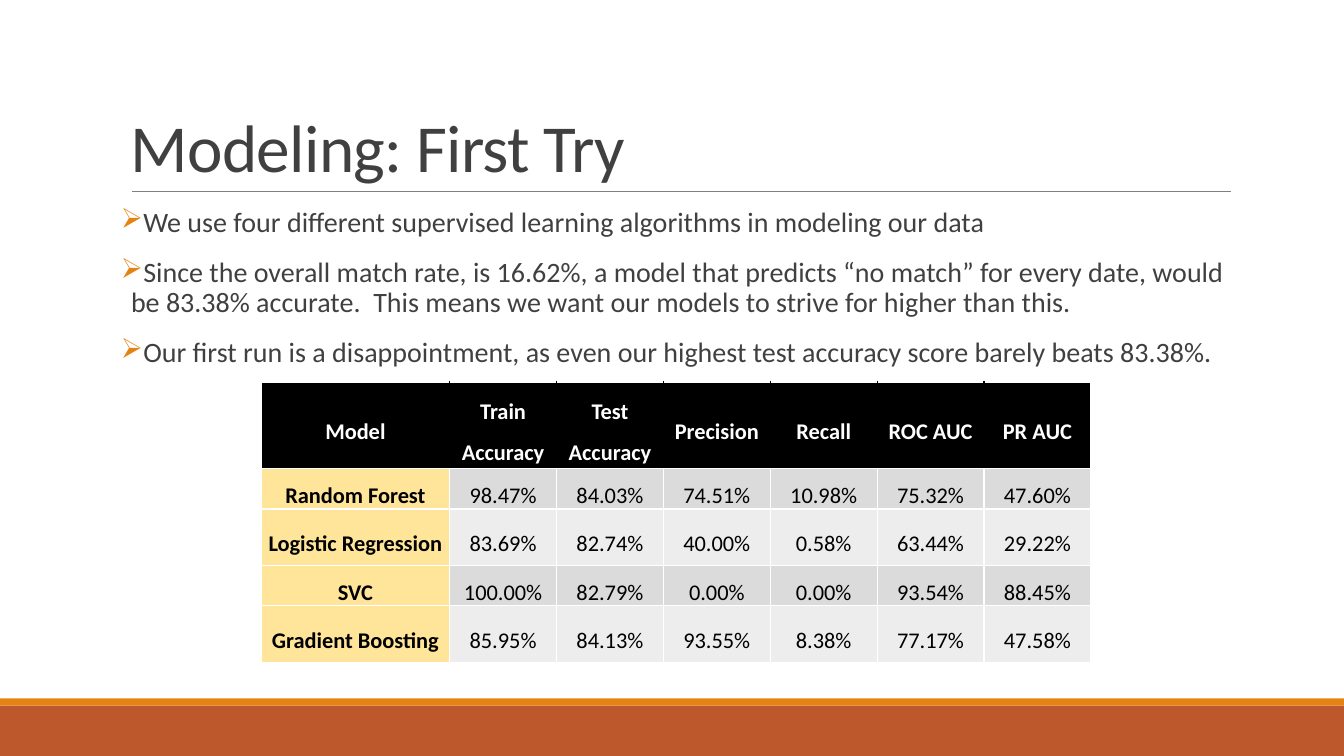
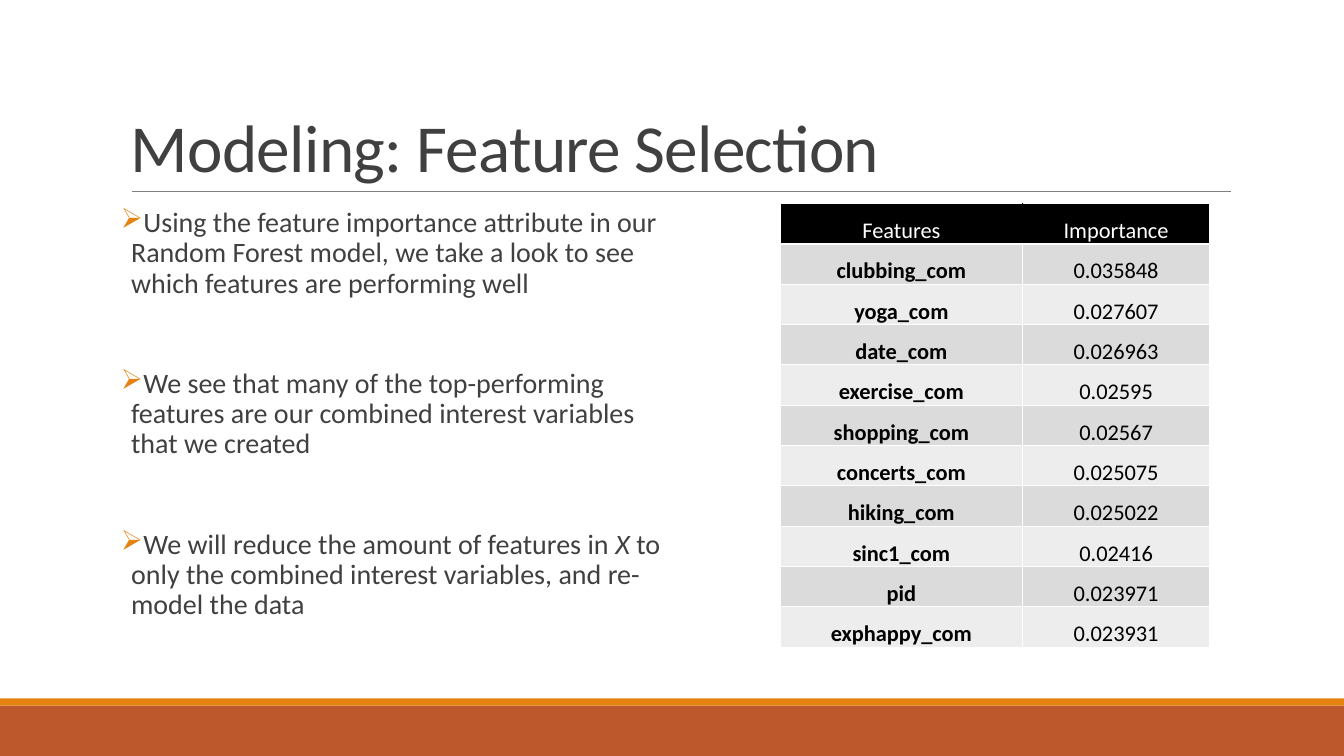
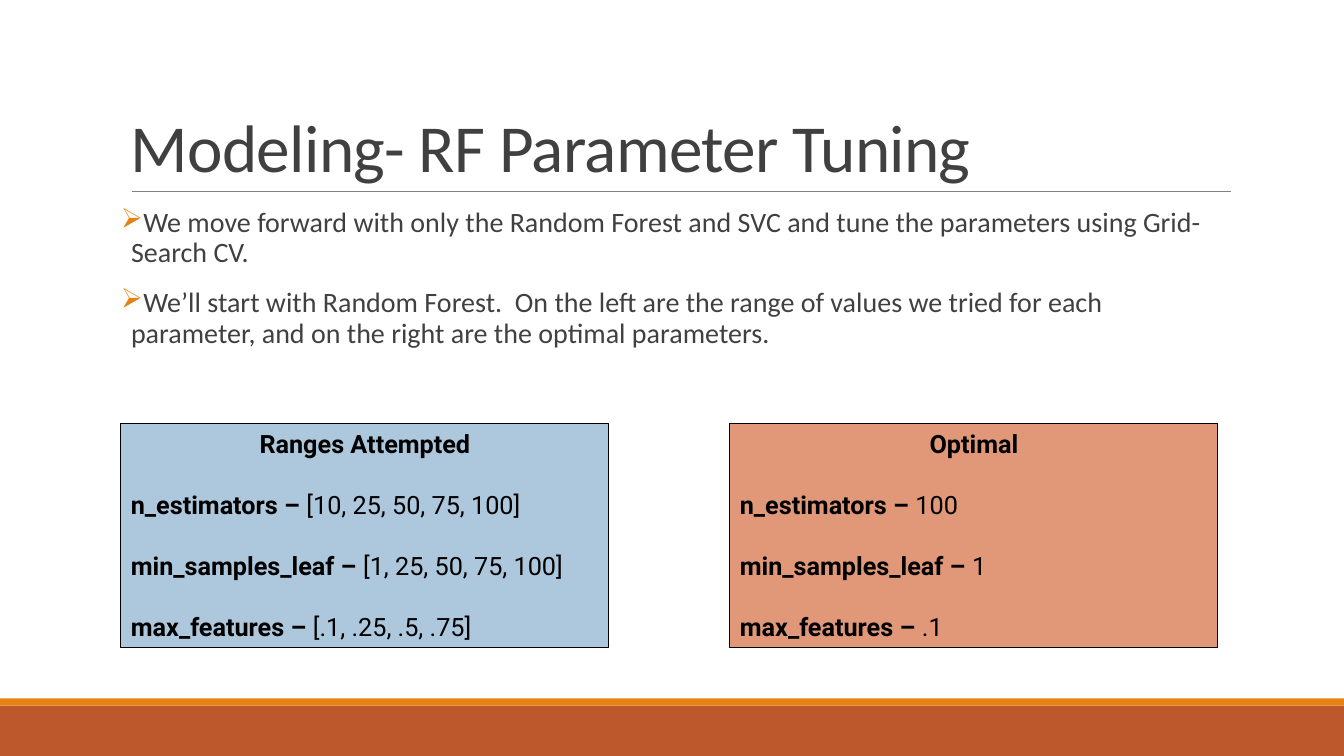
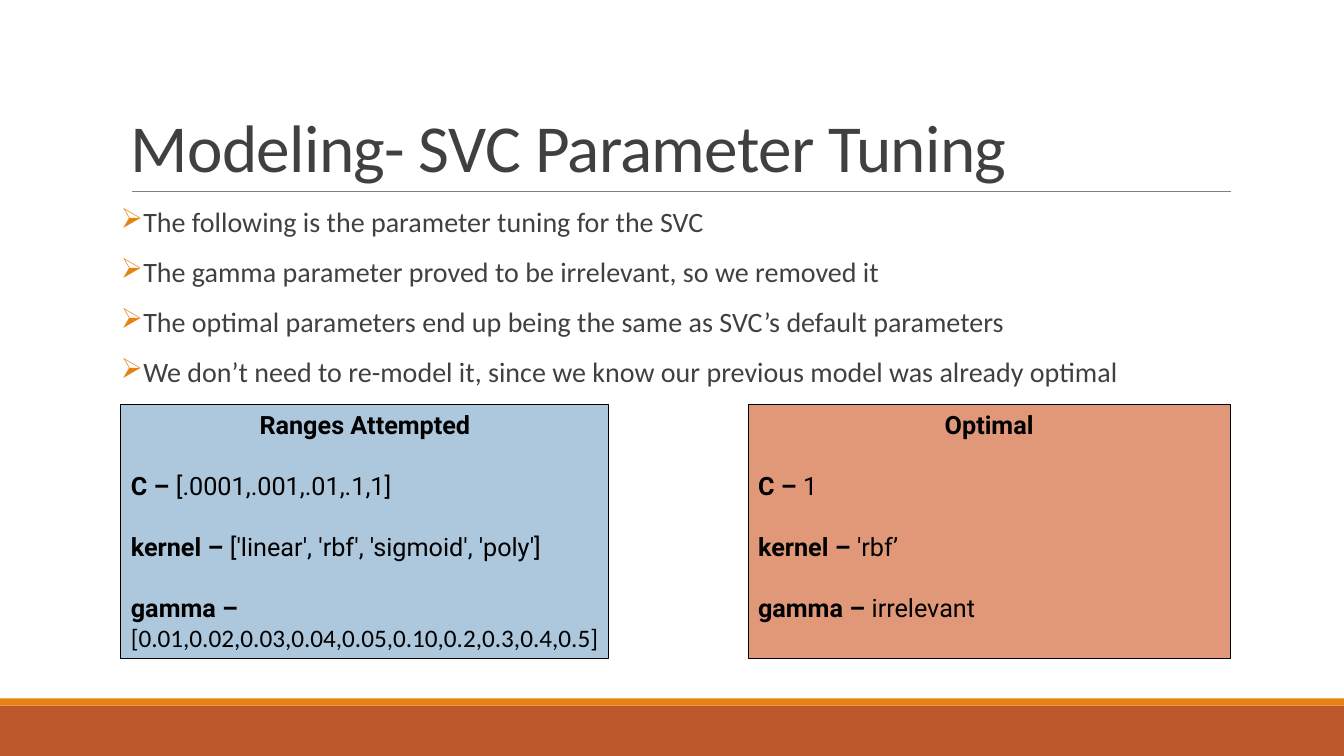
"""Build four slides on modeling, feature selection and parameter tuning."""
from lxml import etree
from pptx import Presentation
from pptx.dml.color import RGBColor
from pptx.enum import shapes, text
from pptx.oxml import ns
from pptx.util import Emu, Pt

PX = 9144
WIDTH, HEIGHT = 1333, 750
LEFT, BODY_TOP, BODY_WIDTH = 120, 202, 1100

WHITE = RGBColor(0xFF, 0xFF, 0xFF)
BLACK = RGBColor(0x00, 0x00, 0x00)
INK = RGBColor(0x40, 0x40, 0x40)
RULE = RGBColor(0x80, 0x80, 0x80)
ORANGE = RGBColor(0xE4, 0x83, 0x12)
RUST = RGBColor(0xBD, 0x58, 0x2C)
YELLOW = RGBColor(0xFF, 0xE5, 0x99)
BAND_DARK = RGBColor(0xDB, 0xDB, 0xDB)
BAND_LIGHT = RGBColor(0xED, 0xED, 0xED)
BLUE = RGBColor(0xAD, 0xC8, 0xDD)
SALMON = RGBColor(0xE0, 0x98, 0x78)

SANS, ROBOTO = "Calibri", "Roboto"

SCORES = [
    ("Model", "Train Accuracy", "Test Accuracy", "Precision", "Recall", "ROC AUC", "PR AUC"),
    ("Random Forest", "98.47%", "84.03%", "74.51%", "10.98%", "75.32%", "47.60%"),
    ("Logistic Regression", "83.69%", "82.74%", "40.00%", "0.58%", "63.44%", "29.22%"),
    ("SVC", "100.00%", "82.79%", "0.00%", "0.00%", "93.54%", "88.45%"),
    ("Gradient Boosting", "85.95%", "84.13%", "93.55%", "8.38%", "77.17%", "47.58%"),
]
FEATURES = [
    ("Features", "Importance"),
    ("clubbing_com", "0.035848"),
    ("yoga_com", "0.027607"),
    ("date_com", "0.026963"),
    ("exercise_com", "0.02595"),
    ("shopping_com", "0.02567"),
    ("concerts_com", "0.025075"),
    ("hiking_com", "0.025022"),
    ("sinc1_com", "0.02416"),
    ("pid", "0.023971"),
    ("exphappy_com", "0.023931"),
]


def px(*lengths):
    """Turn px lengths into EMU."""
    return [Emu(n * PX) for n in lengths]


def sub(parent, tag, **attrs):
    """Append a DrawingML child element."""
    return etree.SubElement(parent, ns.qn(f"a:{tag}"), attrs)


def add_color(parent, color):
    """Append an RGB colour element."""
    sub(parent, "srgbClr", val=str(color))


def set_font(font, name, size, color, bold=None):
    """Set the properties of a font."""
    font.name, font.size, font.bold = name, Pt(size), bold
    font.color.rgb = color


def add_rect(slide, box, fill, line=None):
    """Add a flat rectangle, outlined if a line colour is given."""
    sp = slide.shapes.add_shape(shapes.MSO_SHAPE.RECTANGLE, *px(*box))
    sp.shadow.inherit = False
    sp.fill.solid()
    sp.fill.fore_color.rgb = fill
    if line is None:
        sp.line.fill.background()
    else:
        sp.line.color.rgb = line
        sp.line.width = Pt(0.75)
    return sp


def add_slide(prs, title):
    """Add a slide with the bottom bands, the rule and a title."""
    slide = prs.slides.add_slide(prs.slide_layouts[6])
    add_rect(slide, (0, 700, WIDTH, 50), RUST)
    add_rect(slide, (0, 693, WIDTH, 7), ORANGE)
    rule = slide.shapes.add_connector(
        shapes.MSO_CONNECTOR.STRAIGHT, *px(131, 190, 1221, 190))
    rule.line.color.rgb = RULE
    rule.line.width = Pt(0.5)
    sub(rule._element.spPr, "effectLst")
    tf = slide.shapes.add_textbox(*px(LEFT, 31, BODY_WIDTH, 159)).text_frame
    tf.word_wrap = True
    tf.vertical_anchor = text.MSO_ANCHOR.BOTTOM
    p = tf.paragraphs[0]
    p.line_spacing = 0.85
    set_font(p.font, SANS, 48, INK)
    r = p.add_run()
    r.text = title
    r._r.get_or_add_rPr().set("spc", "-50")
    return slide


def add_bullets(slide, items, width=BODY_WIDTH, gap=12):
    """Add arrow bullets; odd parts of a tuple item are italic."""
    tf = slide.shapes.add_textbox(*px(LEFT, BODY_TOP, width, 440)).text_frame
    tf.word_wrap = True
    tf.margin_left = tf.margin_right = 0
    for i, item in enumerate(items):
        p = tf.add_paragraph() if i else tf.paragraphs[0]
        p.line_spacing = 0.9
        p.space_before = Pt(gap if i else 0)
        p.space_after = Pt(2)
        pPr = p._p.get_or_add_pPr()
        pPr.set("marL", str(10 * PX))
        pPr.set("indent", str(-10 * PX))
        add_color(sub(pPr, "buClr"), ORANGE)
        sub(pPr, "buChar", char="➢")
        set_font(p.font, SANS, 20, INK)
        for j, part in enumerate((item,) if isinstance(item, str) else item):
            r = p.add_run()
            r.text = part
            if j % 2:
                r.font.italic = True


def set_borders(cell, **colors):
    """Draw the cell's sides, given in the order L, R, T, B."""
    tcPr = cell._tc.get_or_add_tcPr()
    for side, color in colors.items():
        ln = sub(tcPr, f"ln{side}", w=str(Pt(1)))
        add_color(sub(ln, "solidFill"), color)


def add_table(slide, left, top, widths, heights, rows, label_fill=None, bold_header=False):
    """Add a banded table with a black header and bold row labels."""
    table = slide.shapes.add_table(
        len(rows), len(widths), *px(left, top, sum(widths), sum(heights))).table
    table.first_row = table.horz_banding = False
    for col, width in zip(table.columns, px(*widths)):
        col.width = width
    for row, height in zip(table.rows, px(*heights)):
        row.height = height
    last = len(widths) - 1
    for i, values in enumerate(rows):
        header = i == 0
        band = BLACK if header else BAND_DARK if i % 2 else BAND_LIGHT
        inner = BLACK if header else WHITE
        for j, value in enumerate(values):
            cell = table.cell(i, j)
            label = j == 0 and not header
            set_borders(cell, L=inner if j else WHITE,
                        R=inner if j < last else WHITE, T=WHITE, B=WHITE)
            cell.fill.solid()
            cell.fill.fore_color.rgb = label_fill if label and label_fill else band
            cell.vertical_anchor = text.MSO_ANCHOR.MIDDLE
            cell.margin_left, cell.margin_right = px(7, 7)
            cell.margin_top = cell.margin_bottom = 0
            p = cell.text_frame.paragraphs[0]
            p.alignment = text.PP_ALIGN.CENTER
            p.line_spacing = 1.5
            set_font(p.font, SANS, 16, WHITE if header else BLACK,
                     bold_header if header else label)
            p.add_run().text = value


def add_params(slide, box, fill, heading, params):
    """Add a box of parameters, each a name, a value and perhaps a value font."""
    tf = add_rect(slide, box, fill, BLACK).text_frame
    tf.word_wrap = True
    tf.vertical_anchor = text.MSO_ANCHOR.TOP
    p = tf.paragraphs[0]
    p.alignment = text.PP_ALIGN.CENTER
    set_font(p.font, ROBOTO, 18, BLACK, True)
    p.add_run().text = heading
    for name, value, *value_font in params:
        p = tf.add_paragraph()
        p.alignment = text.PP_ALIGN.LEFT
        p.space_before = Pt(22)
        set_font(p.font, ROBOTO, 18, BLACK)
        r = p.add_run()
        r.text = f"{name} – "
        r.font.bold = True
        r = p.add_run()
        r.text = value
        if value_font:
            r.font.name = value_font[0]


def main():
    """Build and save the presentation."""
    prs = Presentation()
    prs.slide_width, prs.slide_height = px(WIDTH, HEIGHT)

    slide = add_slide(prs, "Modeling: First Try")
    add_bullets(slide, [
        "We use four different supervised learning algorithms in modeling our data",
        "Since the overall match rate, is 16.62%, a model that predicts “no match” for every "
        "date, would be 83.38% accurate.  This means we want our models to strive for higher "
        "than this.",
        "Our first run is a disappointment, as even our highest test accuracy score barely "
        "beats 83.38%.",
    ])
    add_table(slide, 259, 379, [187] + [106] * 6, [86, 40, 56, 40, 56], SCORES,
              label_fill=YELLOW, bold_header=True)

    slide = add_slide(prs, "Modeling: Feature Selection")
    add_bullets(slide, [
        "Using the feature importance attribute in our Random Forest model, we take a look to "
        "see which features are performing well",
        "We see that many of the top-performing features are our combined interest variables "
        "that we created",
        ("We will reduce the amount of features in ", "X",
         " to only the combined interest variables, and re-model the data"),
    ], width=539, gap=48)
    add_table(slide, 774, BODY_TOP, [240, 186], [40] * len(FEATURES), FEATURES)

    slide = add_slide(prs, "Modeling- RF Parameter Tuning")
    add_bullets(slide, [
        "We move forward with only the Random Forest and SVC and tune the parameters using "
        "Grid-Search CV.",
        "We’ll start with Random Forest.  On the left are the range of values we tried for "
        "each parameter, and on the right are the optimal parameters.",
    ])
    add_params(slide, (LEFT, 420, 484, 222), BLUE, "Ranges Attempted", [
        ("n_estimators", "[10, 25, 50, 75, 100]"),
        ("min_samples_leaf", "[1, 25, 50, 75, 100]"),
        ("max_features", "[.1, .25, .5, .75]"),
    ])
    add_params(slide, (724, 420, 484, 222), SALMON, "Optimal", [
        ("n_estimators", "100"),
        ("min_samples_leaf", "1"),
        ("max_features", ".1"),
    ])

    slide = add_slide(prs, "Modeling- SVC Parameter Tuning")
    add_bullets(slide, [
        "The following is the parameter tuning for the SVC",
        "The gamma parameter proved to be irrelevant, so we removed it",
        "The optimal parameters end up being the same as SVC’s default parameters",
        "We don’t need to re-model it, since we know our previous model was already optimal",
    ])
    add_params(slide, (LEFT, 401, 484, 252), BLUE, "Ranges Attempted", [
        ("C", "[.0001,.001,.01,.1,1]"),
        ("kernel", "['linear', 'rbf', 'sigmoid', 'poly']"),
        ("gamma", "[0.01,0.02,0.03,0.04,0.05,0.10,0.2,0.3,0.4,0.5]", SANS),
    ])
    add_params(slide, (742, 401, 478, 252), SALMON, "Optimal", [
        ("C", "1"),
        ("kernel", "'rbf’"),
        ("gamma", "irrelevant"),
    ])

    prs.save("out.pptx")


if __name__ == "__main__":
    main()
